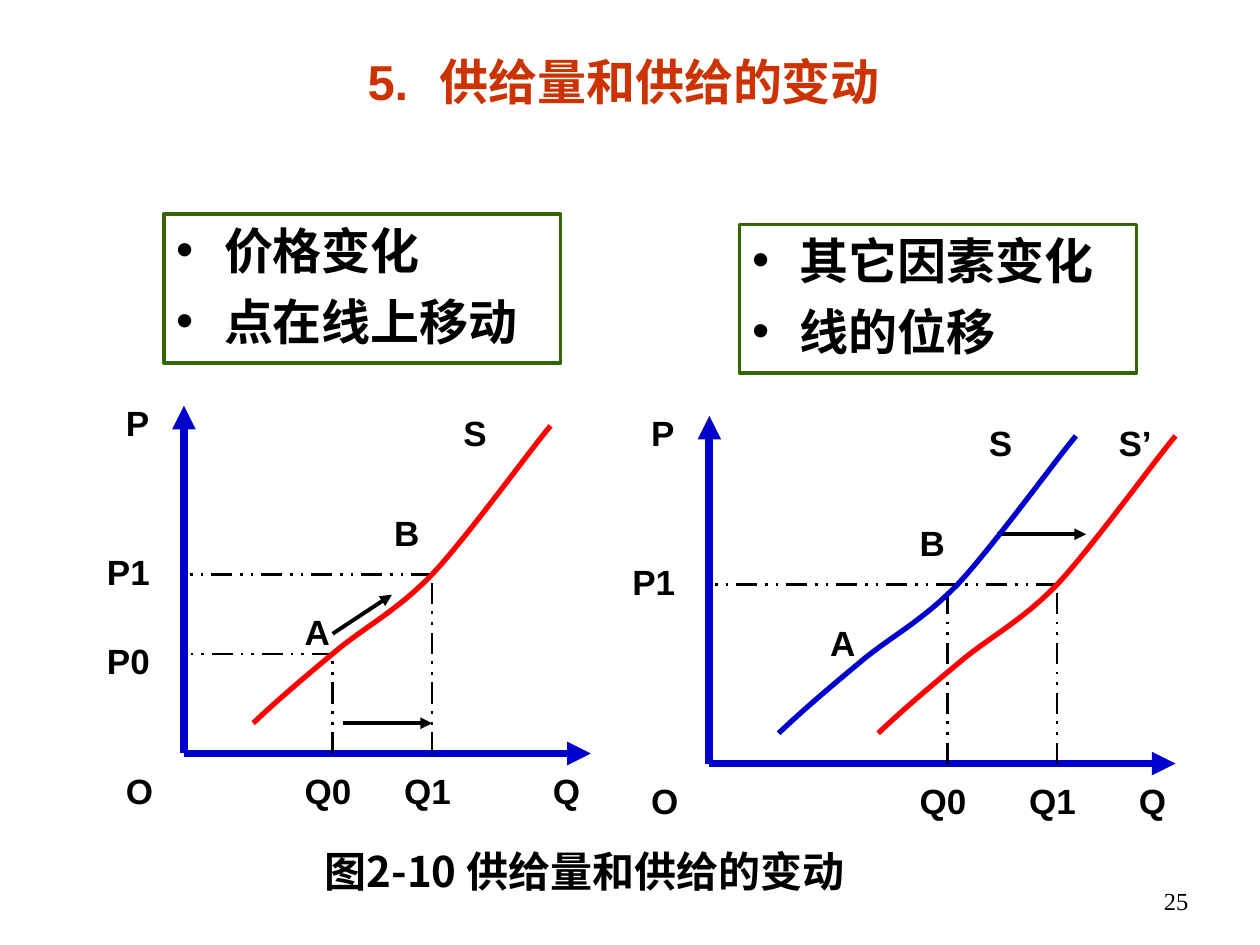
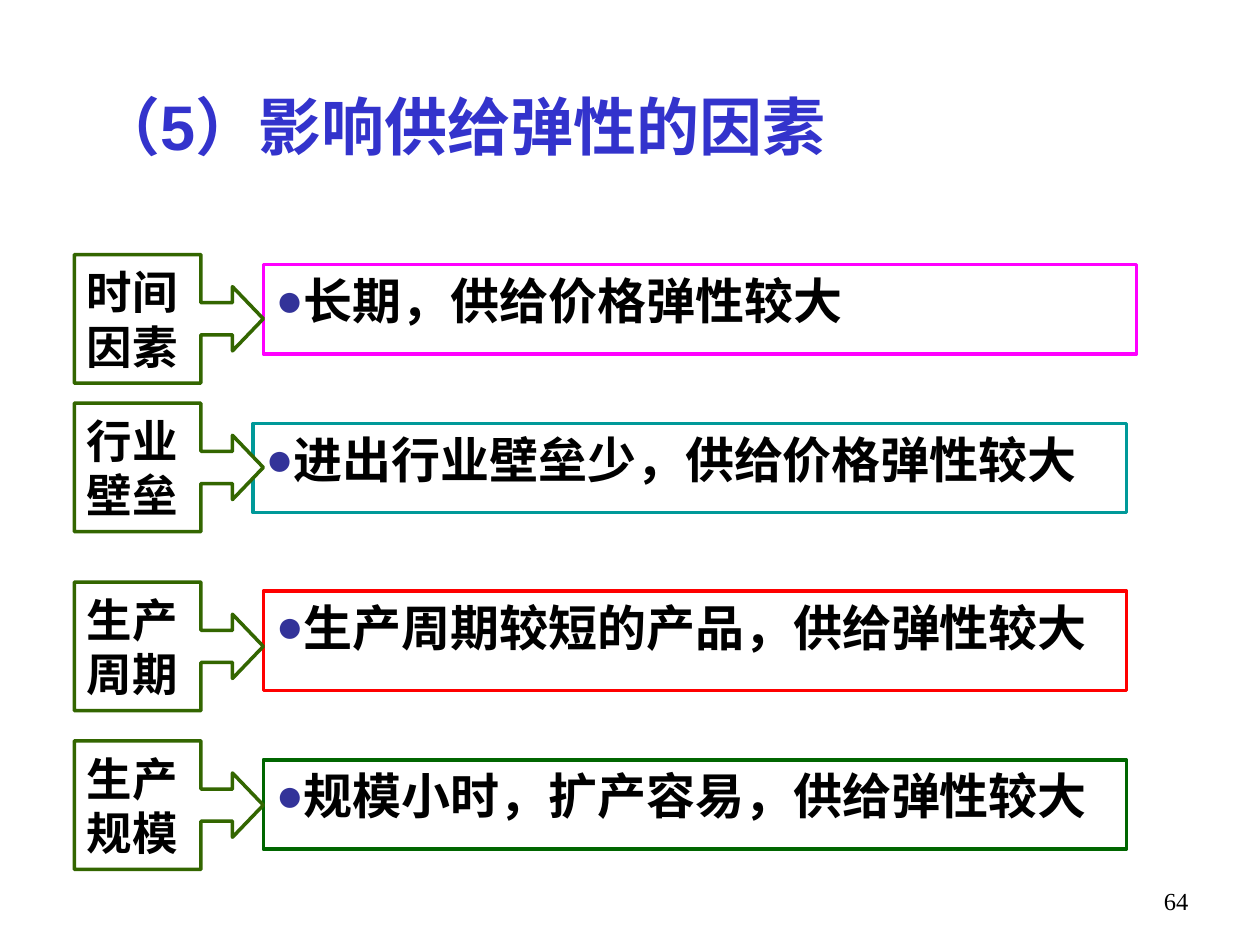
"""Build two slides on shifts in supply and the factors behind supply elasticity."""
from copy import deepcopy
from lxml.etree import SubElement
from pptx import Presentation
from pptx.dml.color import RGBColor
from pptx.enum.dml import MSO_LINE_DASH_STYLE as DASH
from pptx.enum.lang import MSO_LANGUAGE_ID as LANG
from pptx.enum.shapes import MSO_CONNECTOR, MSO_SHAPE
from pptx.enum.text import MSO_ANCHOR, PP_ALIGN
from pptx.oxml.ns import qn
from pptx.util import Inches, Pt

BLACK, WHITE, RED, BLUE, GREEN = "000000", "FFFFFF", "FF0000", "0000CC", "336600"
SANS, SERIF, CJK = "Arial", "Times New Roman", "Noto Sans CJK SC"
hex_color = RGBColor.from_string


def add_box(s, at, lines, size, font=SANS, color=BLACK, bold=True, kind=None,
            line=None, align=PP_ALIGN.LEFT, anchor=MSO_ANCHOR.TOP, bullet=None):
    """Add a text box, or an outlined white shape, holding the lines."""
    at = [Inches(v) for v in at]
    if kind is None:
        sp = s.shapes.add_textbox(*at)
    else:
        sp = s.shapes.add_shape(kind, *at)
        sp.shadow.inherit = False
        sp.fill.solid()
        sp.fill.fore_color.rgb = hex_color(WHITE)
        sp.line.color.rgb = hex_color(line)
        sp.line.width = Pt(2)
    tf = sp.text_frame
    tf.word_wrap = True
    tf.vertical_anchor = anchor
    tf.text = "\n".join(lines)
    for i, p in enumerate(tf.paragraphs):
        p.alignment = align
        if i:
            p.space_before = Pt(7)
        if bullet:
            char, bullet_color, scale, indent = bullet
            pPr = p._p.get_or_add_pPr()
            pPr.set("marL", str(Inches(indent)))
            pPr.set("indent", str(-Inches(indent)))
            SubElement(SubElement(pPr, qn("a:buClr")), qn("a:srgbClr"), val=bullet_color)
            SubElement(pPr, qn("a:buSzPct"), val=str(scale * 1000))
            SubElement(pPr, qn("a:buFont"), typeface=SANS)
            SubElement(pPr, qn("a:buChar"), char=char)
        for r in p.runs:
            r.font.size, r.font.bold, r.font.name = Pt(size), bold, font
            r.font.color.rgb = hex_color(color)
            r.font.language_id = LANG.SIMPLIFIED_CHINESE
            SubElement(r._r.get_or_add_rPr(), qn("a:ea"), typeface=CJK)
    return sp


def add_line(s, ends, color, width, arrow=False):
    """Add a straight line, dashed unless it is an arrow."""
    cx = s.shapes.add_connector(MSO_CONNECTOR.STRAIGHT, *[Inches(v) for v in ends])
    cx.line.color.rgb = hex_color(color)
    cx.line.width = Pt(width)
    if arrow:
        SubElement(cx._element.spPr.find(qn("a:ln")), qn("a:tailEnd"), type="triangle")
    else:
        cx.line.dash_style = DASH.DASH_DOT_DOT
    SubElement(cx._element.spPr, qn("a:effectLst"))


prs = Presentation()
prs.slide_width, prs.slide_height = Inches(10), Inches(7.5)
slides = []
for number in ("25", "64"):
    s = prs.slides.add_slide(prs.slide_layouts[6])
    add_box(s, (7.2, 6.98, 2.33, 0.52), [number], 14, SERIF, bold=False, align=PP_ALIGN.RIGHT)
    slides.append(s)

s = slides[0]
sp = add_box(s, (0.45, 0.3, 9, 0.69), ["5."], 28, color="CC3300",
             align=PP_ALIGN.CENTER, anchor=MSO_ANCHOR.MIDDLE)
p = sp.text_frame.paragraphs[0]
for text, spacing in ((" ", 1000), ("供给量和供给的变动", 0)):
    p._p.append(deepcopy(p.runs[0]._r))
    r = p.runs[-1]
    r.text = text
    r._r.get_or_add_rPr().set("spc", str(spacing))

LEFT, BASE, TOP = 1.46, 5.98, 3.22
CURVE = [(0, 2.36), (0.19, 2.18), (0.39, 2.01), (0.63, 1.81), (0.86, 1.61),
         (1.13, 1.48), (1.42, 1.18), (1.7, 0.88), (2.2, 0.19), (2.36, 0)]
LABELS = [("P", 0.9, 3.14), ("S", 3.58, 3.22), ("B", 3.03, 4.01),
          ("A", 2.32, 4.8), ("P1", 0.75, 4.32), ("O", 0.9, 6.06)]
panels = [
    dict(dx=0, dy=0, axis_end=4.69, curves=[(2.01, RED)],
         drops=[(2.64, 5.19), (3.43, 4.56)], levels=[(2.64, 5.19), (3.43, 4.56)],
         arrows=[(2.72, 5.74, 3.43, 5.74), (2.64, 5.03, 3.11, 4.72)],
         labels=[("P0", 0.75, 5.03), ("Q0", 2.32, 6.06), ("Q1", 3.11, 6.06), ("Q", 4.29, 6.06)],
         box=(1.3, 1.7), notes=["价格变化", "点在线上移动"]),
    dict(dx=4.17, dy=0.08, axis_end=5.16, curves=[(2.01, BLUE), (2.8, RED)],
         drops=[(3.35, 4.56), (4.22, 4.56)], levels=[(4.22, 4.56)],
         arrows=[(3.74, 4.16, 4.45, 4.16)],
         labels=[("Q0", 3.03, 6.06), ("Q1", 3.9, 6.06), ("Q", 4.77, 6.06), ("S’", 4.61, 3.22)],
         box=(5.87, 1.78), notes=["其它因素变化", "线的位移"]),
]
for panel in panels:
    dx, dy = panel["dx"], panel["dy"]
    axes = [(LEFT, BASE, panel["axis_end"], BASE), (LEFT, BASE, LEFT, TOP)]
    guides = [(x, BASE, x, y) for x, y in panel["drops"]]
    guides += [(x, y, LEFT, y) for x, y in panel["levels"]]
    for group, color, width, arrow in ((axes, BLUE, 4.5, True), (guides, BLACK, 1.5, False),
                                       (panel["arrows"], BLACK, 2.25, True)):
        for x1, y1, x2, y2 in group:
            add_line(s, (x1 + dx, y1 + dy, x2 + dx, y2 + dy), color, width, arrow)
    for left, color in panel["curves"]:
        points = [CURVE[0]]
        for i in range(0, len(CURVE) - 1, 3):
            a, b, c, d = CURVE[i:i + 4]
            for step in range(1, 13):
                t = step / 12
                u = 1 - t
                points.append([u**3 * a[k] + 3 * u * u * t * b[k] + 3 * u * t * t * c[k]
                               + t**3 * d[k] for k in (0, 1)])
        points = [(Inches(left + dx + x), Inches(3.38 + dy + y)) for x, y in points]
        fb = s.shapes.build_freeform(*points[0])
        fb.add_line_segments(points[1:], close=False)
        sp = fb.convert_to_shape()
        sp.shadow.inherit = False
        sp.fill.background()
        sp.line.color.rgb = hex_color(color)
        sp.line.width = Pt(3)
    for text, x, y in LABELS + panel["labels"]:
        width = 0.71 if text[-1].isdigit() else 0.47
        add_box(s, (x + dx, y + dy, width, 0.44), [text], 20)
    add_box(s, (*panel["box"], 3.15, 1.18), panel["notes"], 28, SERIF, kind=MSO_SHAPE.RECTANGLE,
            line=GREEN, bullet=("•", BLACK, 100, 0.38))
add_box(s, (2.48, 6.66, 4.96, 0.5), ["图2-10 供给量和供给的变动"], 24, CJK)

s = slides[1]
add_box(s, (0.59, 0.68, 6.14, 0.63), ["（5）影响供给弹性的因素"], 36, color="3333CC",
        align=PP_ALIGN.CENTER, anchor=MSO_ANCHOR.MIDDLE)
factors = [
    ("时间因素", 2.02, "长期，供给价格弹性较大", (2.09, 2.1, 6.93, 0.71), "FF00FF"),
    ("行业壁垒", 3.2, "进出行业壁垒少，供给价格弹性较大", (2.01, 3.36, 6.93, 0.71), "009999"),
    ("生产周期", 4.62, "生产周期较短的产品，供给弹性较大", (2.09, 4.69, 6.85, 0.79), RED),
    ("生产规模", 5.88, "规模小时，扩产容易，供给弹性较大", (2.09, 6.03, 6.85, 0.71), "006600"),
]
for factor, top, effect, at, color in factors:
    add_box(s, at, [effect], 28, SERIF, kind=MSO_SHAPE.RECTANGLE, line=color,
            bullet=("●", "333399", 95, 0))
    sp = add_box(s, (0.59, top, 1.5, 1.02), [factor], 26, kind=MSO_SHAPE.RIGHT_ARROW_CALLOUT,
                 line=GREEN, anchor=MSO_ANCHOR.MIDDLE)
    for i, value in enumerate((0.25, 0.25, 0.24, 0.67)):
        sp.adjustments[i] = value

prs.save("out.pptx")
